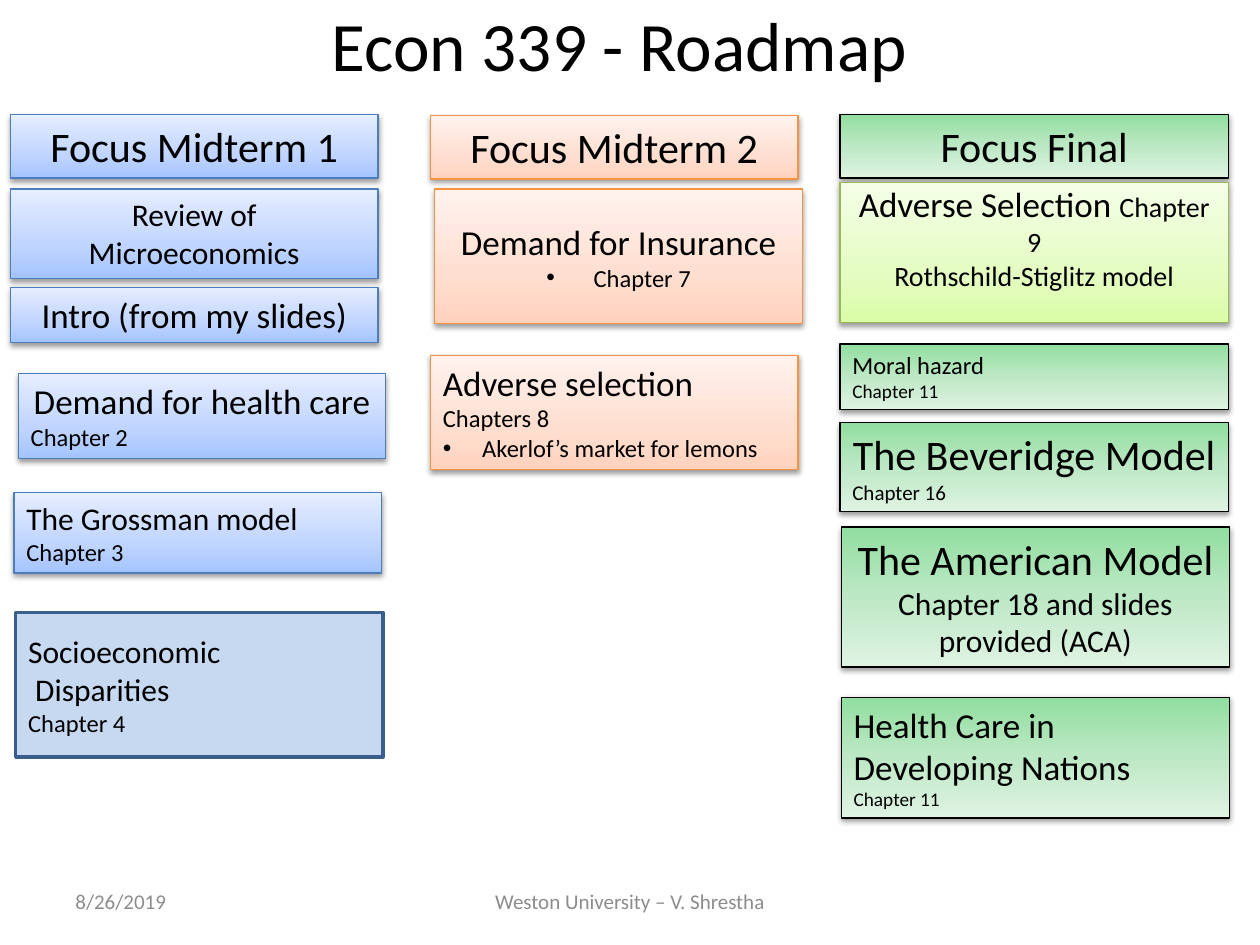
import copy
from pptx import Presentation
from pptx import util as u
from pptx.dml.color import RGBColor
from pptx.enum import shapes, text
from pptx.oxml import parse_xml
from pptx.oxml.ns import nsdecls, qn

Pt = u.Pt
LEFT, CENTER = text.PP_ALIGN.LEFT, text.PP_ALIGN.CENTER
TOP, MIDDLE = text.MSO_ANCHOR.TOP, text.MSO_ANCHOR.MIDDLE

# Palettes: gradient stops (percent, colour), counter-clockwise angle, line colour
BLUE = ([(0, "A4C4FF"), (35, "BFD4FF"), (100, "E6EEFF")], 90, "4B7EBC")
ORANGE = ([(0, "FFD2BD"), (35, "FFDED0"), (100, "FFF2ED")], 90, "F69240")
GREEN = ([(0, "91DEA0"), (50, "BDE8C5"), (100, "DFF3E3")], 270, "000000")
LIME = ([(0, "DAFDA7"), (35, "E4FCC2"), (100, "F5FFE7")], 90, "98B955")


def rgb(value):
    return RGBColor.from_string(value)


def add_bullet(p, indent):
    pPr = p._p.get_or_add_pPr()
    pPr.set("marL", str(Pt(indent)))
    pPr.set("indent", str(-Pt(indent)))
    pPr.append(parse_xml('<a:buFont %s typeface="Arial"/>' % nsdecls("a")))
    pPr.append(parse_xml('<a:buChar %s char="•"/>' % nsdecls("a")))


def write(tf, paragraphs, anchor=TOP, colour="000000"):
    """Each paragraph is (alignment, [(text, size), ...], optional bullet indent)."""
    tf.word_wrap = True
    tf.vertical_anchor = anchor
    for i, (align, runs, *bullet) in enumerate(paragraphs):
        p = tf.paragraphs[0] if i == 0 else tf.add_paragraph()
        p.alignment = align
        if bullet:
            add_bullet(p, bullet[0])
        for words, size in runs:
            r = p.add_run()
            r.text = words
            r.font.size = Pt(size)
            r.font.name = "Calibri"
            r.font.color.rgb = rgb(colour)


def add_label(s, x, y, w, h, align, words, size, colour):
    sp = s.shapes.add_textbox(Pt(x), Pt(y), Pt(w), Pt(h))
    write(sp.text_frame, [(align, [(words, size)])], MIDDLE, colour)


def add_shadow(sp):
    sp._element.spPr.append(parse_xml(
        '<a:effectLst %s><a:outerShdw blurRad="40000" dist="20000" dir="5400000" rotWithShape="0">'
        '<a:srgbClr val="000000"><a:alpha val="38000"/></a:srgbClr>'
        '</a:outerShdw></a:effectLst>' % nsdecls("a")))


def paint_gradient(sp, stops, angle):
    sp.fill.gradient()
    sp.fill.gradient_angle = angle
    gsLst = sp._element.spPr.find(".//" + qn("a:gsLst"))
    gsLst.append(copy.deepcopy(gsLst[-1]))
    for stop, (position, colour) in zip(sp.fill.gradient_stops, stops):
        stop.position = position / 100
        stop.color.rgb = rgb(colour)


def add_box(s, x, y, w, h, palette, paragraphs, anchor=TOP):
    sp = s.shapes.add_shape(shapes.MSO_SHAPE.RECTANGLE, Pt(x), Pt(y), Pt(w), Pt(h))
    if isinstance(palette, tuple):
        stops, angle, line = palette
        paint_gradient(sp, stops, angle)
        sp.line.color.rgb = rgb(line)
        sp.line.width = Pt(0.75)
        add_shadow(sp)
    else:
        sp.shadow.inherit = False
        sp.fill.solid()
        sp.fill.fore_color.rgb = rgb(palette)
        sp.line.color.rgb = rgb("3A5F8C")
        sp.line.width = Pt(2)
    write(sp.text_frame, paragraphs, anchor)
    return sp


def add_column(s, x, y, w, palette, heading, topics):
    """A heading with topics below; each topic is (dx, dy, height, paragraphs, options)."""
    add_box(s, x, y, w, 36.3, palette, [(CENTER, [(heading, 24)])])
    for dx, dy, h, paragraphs, *options in topics:
        fill, anchor = options or (palette, TOP)
        sp = add_box(s, x + dx, y + dy, w, h, fill, paragraphs, anchor)
        if fill is LIME:
            sp.text_frame.margin_top = 0


prs = Presentation()
prs.slide_width, prs.slide_height = Pt(720), Pt(540)
s = prs.slides.add_slide(prs.slide_layouts[6])

# Title and footer
add_label(s, 30, 6, 648, 38, CENTER, "Econ 339 - Roadmap", 39.6, "000000")
add_label(s, 36, 500.5, 168, 28.8, LEFT, "8/26/2019", 12, "8C8C8C")
add_label(s, 246, 500.5, 228, 28.8, CENTER, "Weston University – V. Shrestha", 12, "8C8C8C")

# First midterm
add_column(s, 6, 65.5, 210, BLUE, "Focus Midterm 1", [
    (0, 42.5, 51, [(CENTER, [("Review of Microeconomics", 18)])]),
    (0, 98.7, 31.5, [(CENTER, [("Intro (from my slides)", 20)])]),
    (4.5, 148, 48.5, [(CENTER, [("Demand for health care", 20)]),
                      (LEFT, [("Chapter 2", 14)])]),
    (2, 216, 46, [(LEFT, [("The Grossman model", 18)]), (LEFT, [("Chapter 3", 14)])]),
    (3, 284.5, 82.5, [(LEFT, [("Socioeconomic", 18)]), (LEFT, [(" Disparities", 18)]),
                      (LEFT, [("Chapter 4", 14)])], "C6D9F1", MIDDLE),
])

# Second midterm
add_column(s, 246, 66, 210, ORANGE, "Focus Midterm 2", [
    (2.5, 42, 77, [(CENTER, [("Demand for Insurance", 20)]),
                   (CENTER, [("Chapter 7", 14)], 27)], ORANGE, MIDDLE),
    (0, 137, 65.5, [(LEFT, [("Adverse selection", 20)]), (LEFT, [("Chapters 8", 14)]),
                    (LEFT, [("Akerlof’s market for lemons", 14)], 22.5)]),
])

# Final
add_column(s, 480, 65.5, 222, GREEN, "Focus Final", [
    (0, 39, 80, [(CENTER, [("Adverse Selection ", 20), ("Chapter 9", 16)]),
                 (CENTER, [("Rothschild-Stiglitz model", 16)])], LIME, TOP),
    (0, 131, 37.5, [(LEFT, [("Moral hazard", 14)]), (LEFT, [("Chapter 11", 11)])]),
    (0, 176, 51, [(CENTER, [("The Beveridge Model", 24)]), (LEFT, [("Chapter 16", 12)])]),
    (0.7, 235.7, 80, [(CENTER, [("The American Model", 24)]),
                      (CENTER, [("Chapter 18 and slides provided (ACA)", 18)])]),
    (0.7, 333, 69, [(LEFT, [("Health Care in Developing Nations", 20)]),
                    (LEFT, [("Chapter 11", 11)])]),
])

prs.save("out.pptx")
